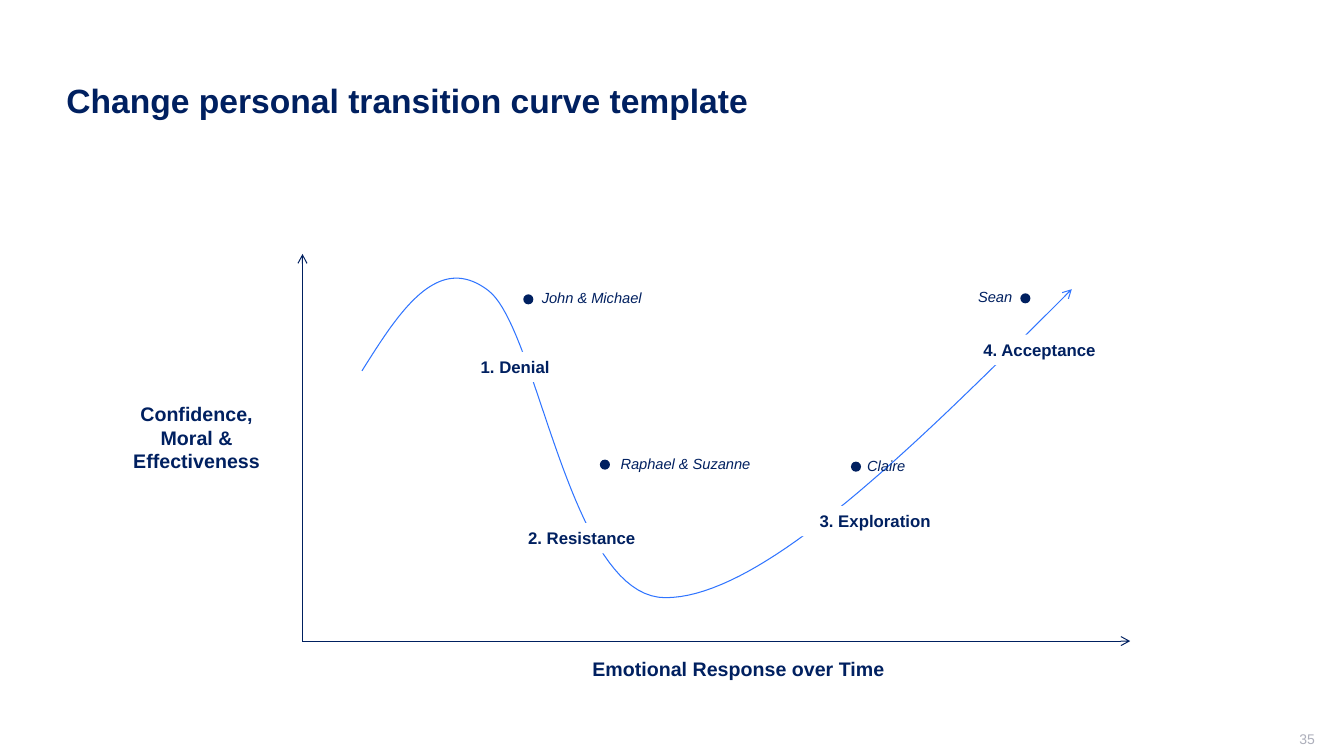
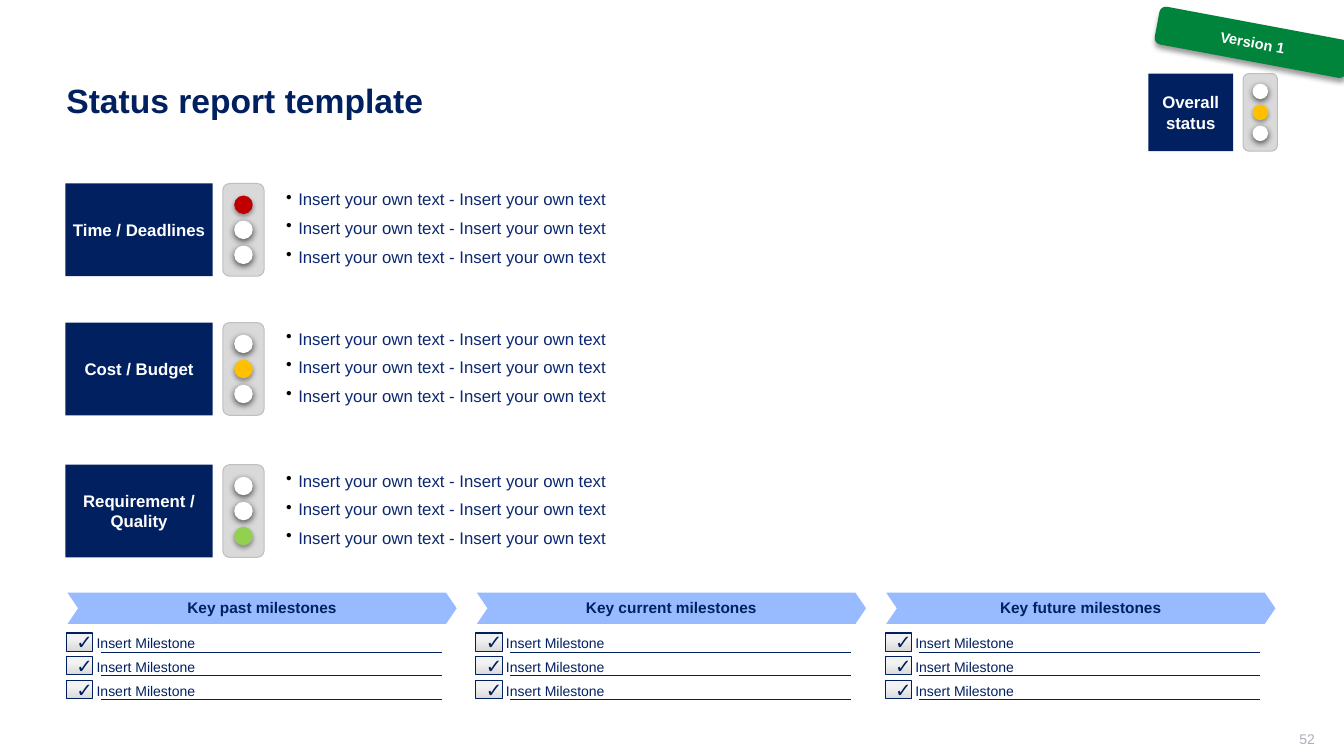
import dataclasses
import typing

import lxml.etree
import pptx
import pptx.dml.color
import pptx.enum.shapes
import pptx.enum.text
import pptx.oxml.ns
import pptx.util

SHAPES = pptx.enum.shapes.MSO_SHAPE
ALIGN = pptx.enum.text.PP_ALIGN
ANCHOR = pptx.enum.text.MSO_ANCHOR


@dataclasses.dataclass(frozen=True)
class Theme:
    font: str = "Arial"
    navy: str = "002060"
    body: str = "0C2870"
    white: str = "FFFFFF"
    black: str = "000000"
    page_number: str = "ADAFBB"
    curve: str = "3075FF"
    chevron: str = "98BAFF"
    housing: str = "D9D9D9"
    housing_edge: str = "BFBFBF"
    check_top: str = "F2F2F2"
    red: str = "C00000"
    amber: str = "FFC000"
    green: str = "92D050"
    banner: str = "00843C"
    title_size: float = 24
    axis_size: float = 14
    label_size: float = 12
    heading_size: float = 11
    name_size: float = 10.5
    small_size: float = 10


class Box(typing.NamedTuple):
    left: float
    top: float
    width: float
    height: float

    def inside(self, left, top, width, height):
        return Box(self.left + left, self.top + top, width, height)


THEME = Theme()
TITLE_BOX = Box(0.56, 0.4, 12.11, 1.19)
NUMBER_BOX = Box(10.04, 7.25, 3, 0.21)
DEFAULT_INSETS = (0.1, 0.05, 0.1, 0.05)
LABEL_INSETS = (0, 0.05, 0, 0.05)


def lengths(values):
    return [pptx.util.Inches(value) for value in values]


def colour(code):
    return pptx.dml.color.RGBColor.from_string(code)


def add_child(parent, tag, **attributes):
    child = lxml.etree.SubElement(parent, pptx.oxml.ns.qn(tag))
    for name, value in attributes.items():
        child.set(name, str(value))
    return child


def write(shape, lines, size, code=THEME.navy, bold=False, italic=False,
          align=ALIGN.CENTER, anchor=ANCHOR.TOP, insets=DEFAULT_INSETS,
          wrap=True, bullets=False, spacing=None):
    frame = shape.text_frame
    frame.word_wrap = wrap
    frame.vertical_anchor = anchor
    (frame.margin_left, frame.margin_top,
     frame.margin_right, frame.margin_bottom) = lengths(insets)
    for index, line in enumerate(lines):
        para = frame.add_paragraph() if index else frame.paragraphs[0]
        para.alignment = align
        if bullets:
            add_bullet(para)
            para.space_after = pptx.util.Pt(3)
            if index:
                para.space_before = pptx.util.Pt(3)
        if spacing:
            para.line_spacing = pptx.util.Pt(spacing)
        span = para.add_run()
        span.text = line
        span.font.name = THEME.font
        span.font.size = pptx.util.Pt(size)
        span.font.bold = bold
        span.font.italic = italic
        span.font.color.rgb = colour(code)


def add_bullet(para):
    properties = para._p.get_or_add_pPr()
    indent = pptx.util.Inches(0.12)
    properties.set("marL", str(indent))
    properties.set("indent", str(-indent))
    add_child(add_child(properties, "a:buClr"), "a:srgbClr", val=THEME.black)
    add_child(properties, "a:buChar", char="•")


def add_text(shapes, box, text, size, **style):
    shape = shapes.add_textbox(*lengths(box))
    write(shape, [text], size, **style)
    return shape


def add_shape(shapes, kind, box, fill, edge=None):
    shape = shapes.add_shape(kind, *lengths(box))
    shape.shadow.inherit = False
    shape.fill.solid()
    shape.fill.fore_color.rgb = colour(fill)
    if edge:
        draw_line(shape, edge, 0.75)
    else:
        shape.line.fill.background()
    return shape


def draw_line(shape, code, width, arrow=None):
    shape.line.color.rgb = colour(code)
    shape.line.width = pptx.util.Pt(width)
    if arrow:
        outline = shape.element.spPr.find(pptx.oxml.ns.qn("a:ln"))
        add_child(outline, arrow, type="arrow")


def add_line(shapes, start, end, width, arrow=None):
    line = shapes.add_connector(
        pptx.enum.shapes.MSO_CONNECTOR.STRAIGHT, *lengths((*start, *end)))
    draw_line(line, THEME.navy, width, arrow)
    add_child(line.element.spPr, "a:effectLst")


def drop_shadow(shape, opacity, blur, distance):
    effects = shape.element.spPr.find(pptx.oxml.ns.qn("a:effectLst"))
    shadow = add_child(effects, "a:outerShdw", blurRad=pptx.util.Pt(blur),
                       dist=pptx.util.Pt(distance), dir=90 * 60000,
                       algn="t", rotWithShape=0)
    shade = add_child(shadow, "a:srgbClr", val=THEME.black)
    add_child(shade, "a:alpha", val=opacity * 1000)


def add_page(deck, title, number):
    page = deck.slides.add_slide(deck.slide_layouts[6])
    add_text(page.shapes, TITLE_BOX, title, THEME.title_size, bold=True,
             align=ALIGN.LEFT, anchor=ANCHOR.MIDDLE)
    add_text(page.shapes, NUMBER_BOX, number, THEME.small_size,
             code=THEME.page_number, align=ALIGN.RIGHT, anchor=ANCHOR.MIDDLE,
             insets=(0.1, 0, 0, 0.05))
    return page


def bezier(points, steps=40):
    for step in range(1, steps + 1):
        t = step / steps
        weights = ((1 - t) ** 3, 3 * t * (1 - t) ** 2, 3 * t * t * (1 - t), t ** 3)
        yield tuple(sum(w * p[axis] for w, p in zip(weights, points))
                    for axis in (0, 1))


def add_axes(shapes, box):
    bottom = box.top + box.height
    origin = (box.left, bottom)
    add_line(shapes, (box.left, box.top), origin, 0.75, "a:headEnd")
    add_line(shapes, origin, (box.left + box.width, bottom), 0.75, "a:tailEnd")
    add_text(shapes, box.inside(-1.99, 1.42, 1.88, 0.79),
             "Confidence, Moral & Effectiveness", THEME.axis_size, bold=True)
    add_text(shapes, box.inside(2.77, box.height + 0.11, 3.11, 0.34),
             "Emotional Response over Time", THEME.axis_size, bold=True, wrap=False)


def add_curve(shapes, box):
    knots = [(0.59, 1.16), (0.96, 0.57), (1.34, -0.02), (1.84, 0.36),
             (2.34, 0.73), (2.64, 3.41), (3.6, 3.41),
             (4.57, 3.41), (6.1, 1.88), (7.63, 0.35)]
    knots = [lengths((box.left + x, box.top + y)) for x, y in knots]
    points = [point for first in range(0, len(knots) - 1, 3)
              for point in bezier(knots[first:first + 4])]
    builder = shapes.build_freeform(*knots[0], scale=1.0)
    builder.add_line_segments(points, close=False)
    curve = builder.convert_to_shape()
    curve.shadow.inherit = False
    curve.fill.background()
    draw_line(curve, THEME.curve, 0.75, "a:tailEnd")


def add_stages(shapes, box):
    stages = [("1. Denial", 1.17, 0.97, 1.88), ("2. Resistance", 1.68, 2.67, 2.18),
              ("3. Exploration", 4.42, 2.5, 2.52), ("4. Acceptance", 6.05, 0.8, 2.52)]
    for text, left, top, width in stages:
        label = add_shape(shapes, SHAPES.RECTANGLE,
                          box.inside(left, top, width, 0.3), THEME.white)
        write(label, [text], THEME.label_size, bold=True)


def add_people(shapes, box):
    people = [("John & Michael", 2.19, 0.4, 2.12, 1.5),
              ("Raphael & Suzanne", 2.95, 2.04, 2.8, 2),
              ("Sean", 7.12, 0.39, 6.12, 1.5), ("Claire", 5.44, 2.06, 5.04, 1.5)]
    for name, dot_left, dot_top, left, width in people:
        add_shape(shapes, SHAPES.OVAL,
                  box.inside(dot_left, dot_top, 0.1, 0.1), THEME.navy)
        add_text(shapes, box.inside(left, dot_top - 0.1, width, 0.29), name,
                 THEME.name_size, italic=True)


def build_transition_curve(deck):
    page = add_page(deck, "Change personal transition curve template", "35")
    plot = Box(3, 2.52, 8.21, 3.84)
    for add_part in (add_axes, add_curve, add_stages, add_people):
        add_part(page.shapes, plot)


def add_traffic_light(shapes, box, lit, lamp_colour):
    group = shapes.add_group_shape().shapes
    add_shape(group, SHAPES.ROUNDED_RECTANGLE, box, THEME.housing, THEME.housing_edge)
    size = box.height * 0.2
    for index in range(3):
        place = box.inside((box.width - size) / 2,
                           box.height * (0.13 + 0.27 * index), size, size)
        is_lit = index == lit
        lamp = add_shape(group, SHAPES.OVAL, place,
                         lamp_colour if is_lit else THEME.white)
        drop_shadow(lamp, *((35, 3.1, 1.8) if is_lit else (63, 4.5, 1.5)))


def add_status_label(shapes, box, text):
    label = add_shape(shapes, SHAPES.RECTANGLE, box, THEME.navy)
    write(label, [text], THEME.label_size, code=THEME.white, bold=True,
          anchor=ANCHOR.MIDDLE, insets=LABEL_INSETS)


def add_status_row(shapes, box, text, lit, lamp_colour):
    add_status_label(shapes, box.inside(0, 0, 1.46, box.height), text)
    add_traffic_light(shapes, box.inside(1.56, 0, 0.41, box.height), lit, lamp_colour)
    notes = add_shape(shapes, SHAPES.RECTANGLE,
                      box.inside(2.09, -0.17, box.width - 2.09, 1.22), THEME.white)
    write(notes, ["Insert your own text - Insert your own text"] * 3,
          THEME.label_size, code=THEME.body, align=ALIGN.LEFT,
          anchor=ANCHOR.MIDDLE, bullets=True)


def add_check_box(shapes, box):
    check = add_shape(shapes, SHAPES.RECTANGLE, box, THEME.housing, THEME.navy)
    check.fill.gradient()
    check.fill.gradient_angle = 270
    stops = [(0.34, THEME.check_top), (1, THEME.housing)]
    for stop, (position, code) in zip(check.fill.gradient_stops, stops):
        stop.position = position
        stop.color.rgb = colour(code)
    write(check, ["✓"], THEME.axis_size, anchor=ANCHOR.MIDDLE)


def add_milestones(shapes, box, heading):
    chevron = add_shape(shapes, SHAPES.CHEVRON,
                        box.inside(0, 0, box.width, 0.31), THEME.chevron)
    chevron.adjustments[0] = 0.34
    write(chevron, [heading], THEME.heading_size, bold=True, spacing=12,
          anchor=ANCHOR.MIDDLE, insets=(0, 0.04, 0, 0.04))
    for index in range(3):
        row = box.inside(0, 0.4 + 0.47 * index / 2, box.width, 0.18)
        add_check_box(shapes, row.inside(-0.01, 0, 0.26, row.height))
        rule = row.top + 0.19
        add_line(shapes, (row.left + 0.33, rule), (row.left + 3.71, rule), 0.5)
        add_text(shapes, row.inside(0.19, -0.03, 3.52, 0.24), "Insert Milestone",
                 THEME.small_size, align=ALIGN.LEFT)


def add_overall_status(shapes, box):
    add_status_label(shapes, box.inside(0, 0, 0.84, box.height), "Overall status")
    add_traffic_light(shapes, box.inside(0.94, 0, 0.34, box.height), 1, THEME.amber)


def add_version_banner(shapes, box):
    banner = add_shape(shapes, SHAPES.ROUNDED_RECTANGLE, box, THEME.banner)
    banner.rotation = 10.6
    drop_shadow(banner, 40, 4, 3)
    write(banner, ["Version 1"], THEME.name_size, code=THEME.white, bold=True,
          anchor=ANCHOR.MIDDLE)


def build_status_report(deck):
    shapes = add_page(deck, "Status report template", "52").shapes
    rows = [(1.82, "Time / Deadlines", THEME.red), (3.2, "Cost / Budget", THEME.amber),
            (4.61, "Requirement / Quality", THEME.green)]
    for lit, (top, text, lamp_colour) in enumerate(rows):
        add_status_row(shapes, Box(0.65, top, 12.02, 0.92), text, lit, lamp_colour)
    for index, period in enumerate(("past", "current", "future")):
        add_milestones(shapes, Box(0.67 + 4.06 * index, 5.88, 3.86, 1.07),
                       f"Key {period} milestones")
    add_overall_status(shapes, Box(11.39, 0.73, 1.28, 0.77))
    add_version_banner(shapes, Box(11.46, 0.23, 1.93, 0.38))


def main():
    deck = pptx.Presentation()
    deck.slide_width, deck.slide_height = lengths((13.33, 7.5))
    build_transition_curve(deck)
    build_status_report(deck)
    deck.save("out.pptx")


if __name__ == "__main__":
    main()
